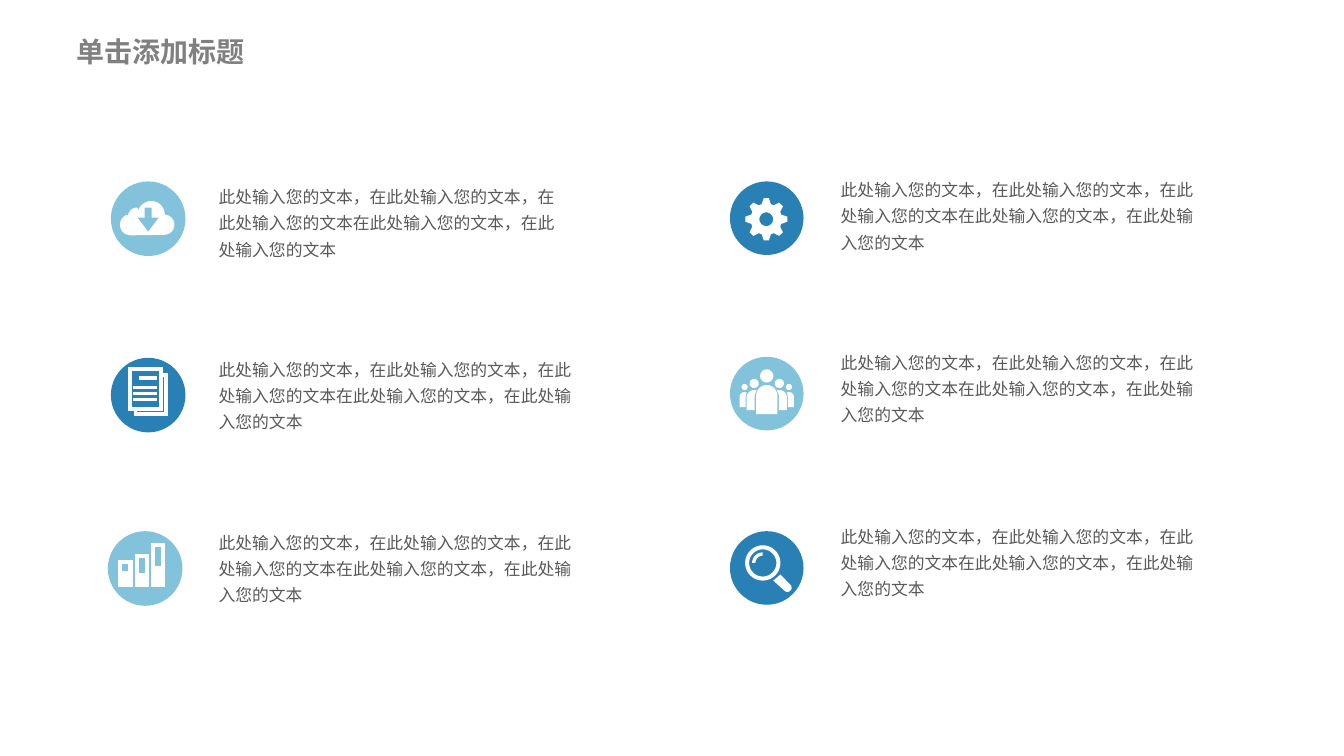
from math import cos, radians, sin
from lxml.etree import SubElement
from pptx import Presentation
from pptx.dml.color import RGBColor
from pptx.enum.shapes import MSO_SHAPE as Preset
from pptx.enum.text import MSO_ANCHOR as Anchor, MSO_AUTO_SIZE as AutoSize, PP_ALIGN as Align
from pptx.oxml.ns import qn
from pptx.util import Inches, Pt

COLORS = {"dark": "2980B4", "light": "83C2DB", "white": "FFFFFF",
          "title": "808080", "body": "595959"}
FONT = "Noto Sans CJK SC"
TITLE = "单击添加标题"
BODY = "此处输入您的文本，在此处输入您的文本，在此处输入您的文本在此处输入您的文本，在此处输入您的文本"


def cells(count):
    """The page grid has ten columns and ten rows to the inch."""
    return Inches(count / 10)


def color(name):
    return RGBColor.from_string(COLORS[name])


# Contours: lists of points in grid cells, measured from a badge's centre
def polar(x, y, radius, angle):
    return x + radius * cos(radians(angle)), y + radius * sin(radians(angle))


def arc(x, y, radius, start, stop, steps=16):
    return [polar(x, y, radius, start + (stop - start) * step / steps)
            for step in range(steps + 1)]


def circle(x, y, radius):
    return arc(x, y, radius, 0, 360, 40)


def rectangle(x, y, width, height):
    return [(x, y), (x + width, y), (x + width, y + height), (x, y + height)]


# Icons: each is a list of outlines, each outline a list of contours
def cloud():
    lobes = (arc(1.6, 0.6, 1, 90, -90) + arc(0.3, -0.4, 1.35, 0, -160)
             + arc(-1.1, -0.2, 0.9, -90, -175) + arc(-1.75, 0.6, 1.05, -110, -270))
    arrow = [(0, 1.3), (-1.05, -0.1), (-0.35, -0.1), (-0.35, -1.1),
             (0.35, -1.1), (0.35, -0.1), (1.05, -0.1)]
    return [[lobes, arrow]]


def gear():
    tooth = [(-17, 1.56), (-7, 2.1), (7, 2.1), (17, 1.56)]
    rim = [polar(-0.05, 0.1, radius, turn + angle)
           for turn in range(0, 360, 45) for angle, radius in tooth]
    return [[rim, circle(-0.05, 0.1, 0.68)]]


def documents():
    front = [rectangle(-2, -2.7, 3.4, 4.2), rectangle(-1.7, -2.4, 2.8, 3.6)]
    back = [(1.4, -2.1), (1.9, -2.1), (1.9, 2), (-1.4, 2), (-1.4, 1.5),
            (-1.15, 1.5), (-1.15, 1.7), (1.65, 1.7), (1.65, -1.8), (1.4, -1.8)]
    lines = [[rectangle(-1.5, row, 2.3, 0.25)] for row in (-0.9, -0.3, 0.3)]
    return [front + [back], [rectangle(-0.9, -1.8, 1.7, 0.25)], *lines]


def people():
    contours = [circle(0, -1.75, 0.65),
                arc(0, 0.2, 1.05, -180, 0) + [(1.05, 2.05), (-1.05, 2.05)]]
    for side in (-1, 1):
        figures = [circle(1.25, -1, 0.45), circle(2.2, -0.65, 0.3),
                   arc(1.25, 0.4, 0.75, -90, 0)
                   + [(2, 1.65), (1.2, 1.65), (1.2, 0.15), (1, -0.35)],
                   arc(2.2, 0.35, 0.5, -90, 0)
                   + [(2.7, 1.35), (2.1, 1.35), (2.1, 0.35), (2, -0.15)]]
        contours += [[(side * x, y) for x, y in figure] for figure in figures]
    return [contours]


def bars():
    bottom = 1.8
    return [[rectangle(-2.6 + 1.6 * index, top, 1.3, bottom - top),
             rectangle(-2.3 + 1.6 * index, top + 0.3, 0.7, slot)]
            for index, (top, slot) in enumerate([(-0.8, 0.8), (-1.4, 1.6), (-2.5, 2)])]


def magnifier():
    x, y = -0.4, -0.5
    handle = [(1.35, 0.65), (0.65, 1.25)] + arc(2.05, 1.95, 0.42, 135, -45)
    return [[handle], [circle(x, y, 1.75), circle(x, y, 1.35)],
            [arc(x, y, 1.05, 180, 270) + arc(x, y, 0.72, 270, 180)]]


class Page:
    """Holds the style and the current slide."""

    def __init__(self, deck):
        self.slide = deck.slides.add_slide(deck.slide_layouts[5])

    def place(self, box, left, top, width, height):
        values = {"left": left, "top": top, "width": width, "height": height}
        for name, value in values.items():
            setattr(box, name, cells(value))

    def fill_text(self, box, text, ink, size, bold, frame_format, para_format):
        frame = box.text_frame
        for name, value in frame_format.items():
            setattr(frame, name, value)
        para = frame.paragraphs[0]
        for name, value in para_format.items():
            setattr(para, name, value)
        span = para.add_run()
        span.text = text
        for name, value in {"name": FONT, "size": Pt(size), "bold": bold}.items():
            setattr(span.font, name, value)
        span.font.color.rgb = color(ink)
        SubElement(span.font._element, qn("a:ea"), typeface=FONT)

    def title(self, text, *area):
        box = self.slide.shapes.title
        self.place(box, *area)
        self.fill_text(box, text, "title", 20, True,
                       {"word_wrap": True, "vertical_anchor": Anchor.TOP,
                        "auto_size": AutoSize.SHAPE_TO_FIT_TEXT},
                       {"alignment": Align.LEFT})

    def body(self, text, *area):
        box = self.slide.shapes.add_textbox(*map(cells, area))
        self.fill_text(box, text, "body", 12, False,
                       {"word_wrap": True, "vertical_anchor": Anchor.MIDDLE},
                       {"line_spacing": 1.3})

    def paint(self, shape, fill, border):
        shape.shadow.inherit = False
        shape.fill.solid()
        shape.fill.fore_color.rgb = color(fill)
        if border:
            shape.line.color.rgb = color(fill)
            shape.line.width = Pt(border)
        else:
            shape.line.fill.background()

    def badge(self, left, top, size, fill, icon, border=0):
        group = self.slide.shapes.add_group_shape()
        disc = group.shapes.add_shape(Preset.OVAL, *map(cells, (left, top, size, size)))
        self.paint(disc, fill, 0)
        for contours in icon:
            self.outline(group, left + size / 2, top + size / 2, contours, border)

    def outline(self, group, x, y, contours, border):
        placed = [[(cells(x + across), cells(y + down)) for across, down in contour]
                  for contour in contours]
        builder = group.shapes.build_freeform(*placed[0][0])
        for index, (start, *rest) in enumerate(placed):
            if index:
                builder.move_to(*start)
            builder.add_line_segments(rest, close=True)
        self.paint(builder.convert_to_shape(), "white", border)


def main():
    deck = Presentation()
    deck.slide_width, deck.slide_height = Inches(13.33), Inches(7.5)
    page = Page(deck)
    page.title(TITLE, 6.6, 2.9, 33, 4.6)

    # Badges: left, top, size, fill, icon, border
    for badge in [(11, 18, 7.4, "light", cloud()),
                  (11, 35.5, 7.4, "dark", documents(), 0.75),
                  (10.7, 52.7, 7.4, "light", bars(), 0.75),
                  (72.4, 18, 7.3, "dark", gear()),
                  (72.4, 35.4, 7.3, "light", people()),
                  (72.4, 52.7, 7.3, "dark", magnifier())]:
        page.badge(*badge)

    # Texts: left, top, width
    for left, top, width in [(20.7, 17.3, 36.9), (20.7, 34.4, 38.5), (20.7, 51.6, 38),
                             (82.4, 16.6, 38.6), (82.4, 33.7, 38.6), (82.4, 51, 38.6)]:
        page.body(BODY, left, top, width, 9.1)

    deck.save("out.pptx")


if __name__ == "__main__":
    main()
